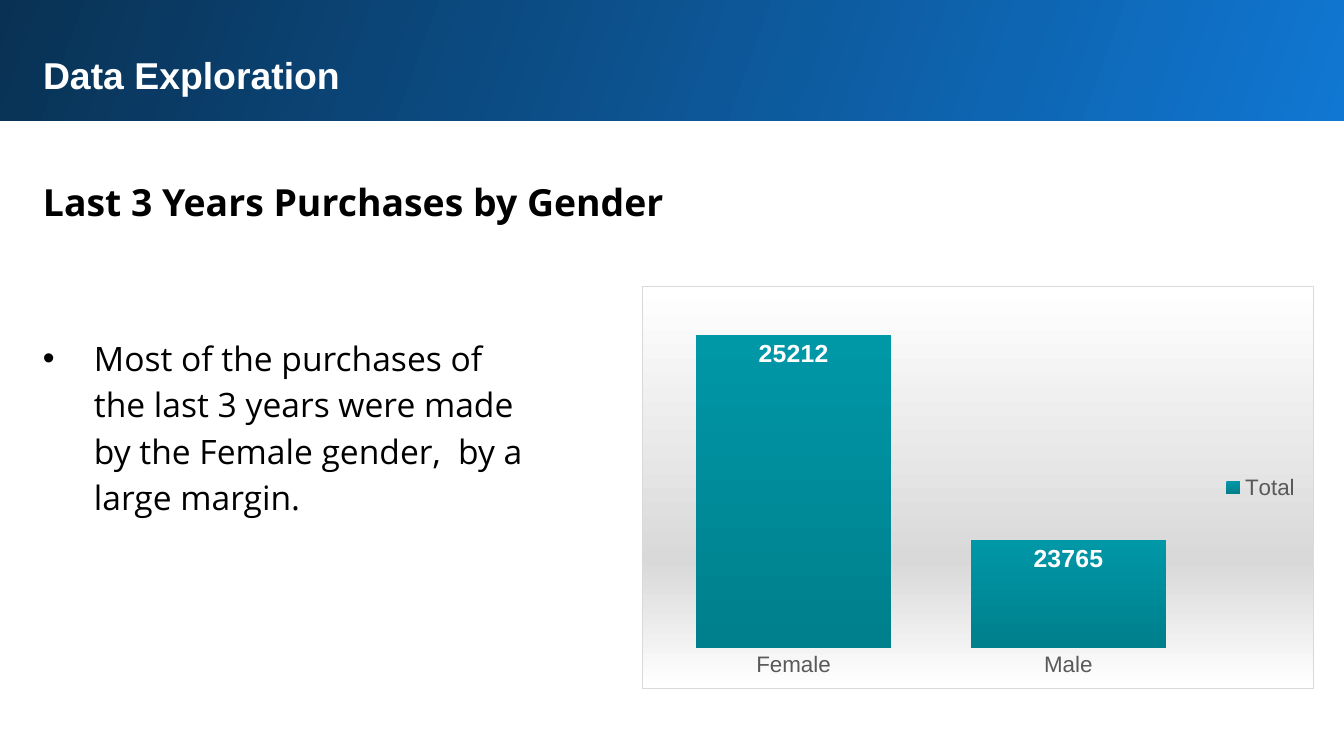
from lxml.etree import SubElement
from pptx import Presentation
from pptx.chart.data import CategoryChartData
from pptx.dml.color import RGBColor
from pptx.enum.chart import (XL_CHART_TYPE as ChartType, XL_LABEL_POSITION as LabelPosition,
                             XL_LEGEND_POSITION as LegendPosition, XL_TICK_MARK as TickMark)
from pptx.enum.shapes import MSO_SHAPE as ShapeKind
from pptx.enum.text import MSO_ANCHOR as Anchor, PP_ALIGN as Align
from pptx.oxml import parse_xml
from pptx.oxml.ns import nsdecls, qn
from pptx.util import Pt

SCALE = 914400 / 134.4
INSET = 13
TEXT_GREY = "595959"


def px(length):
    return round(length * SCALE)


def color(value):
    return RGBColor.from_string(value)


def set_values(target, values):
    for name, value in values.items():
        setattr(target, name, value)


def style_font(font, size, value, name="Arial", bold=False):
    set_values(font, {"size": Pt(size), "name": name, "bold": bold})
    font.color.rgb = color(value)


def gradient(properties, stops, angle):
    """Put a linear gradient in place of the empty fill."""
    items = "".join(f'<a:gs pos="{position * 1000}"><a:srgbClr val="{value}"/></a:gs>'
                    for position, value in stops)
    fill = parse_xml(f'<a:gradFill {nsdecls("a")} rotWithShape="1"><a:gsLst>{items}</a:gsLst>'
                     f'<a:lin ang="{angle * 60000}" scaled="0"/></a:gradFill>')
    properties.replace(properties.find(qn("a:noFill")), fill)


def write_text(shape, box, text, size, value, name, bold=False, spacing=1.0):
    set_values(shape, dict(zip(("left", "top", "width", "height"), map(px, box))))
    frame = shape.text_frame
    margins = {f"margin_{side}": px(INSET) for side in ("left", "top", "right", "bottom")}
    set_values(frame, {"word_wrap": True, "vertical_anchor": Anchor.TOP, **margins})
    paragraph = frame.paragraphs[0]
    set_values(paragraph, {"alignment": Align.LEFT, "line_spacing": spacing})
    run = paragraph.add_run()
    run.text = text
    style_font(run.font, size, value, name, bold)
    return paragraph


def add_header(slide, box):
    left, top, width, height = box
    # Band behind the title
    band = slide.shapes.add_shape(ShapeKind.RECTANGLE, *map(px, box))
    band.shadow.inherit = False
    band.line.fill.background()
    band.fill.background()
    gradient(band.element.spPr, [(0, "1077D2"), (100, "093153")], 200)
    title = slide.shapes.title
    title.element.addprevious(band.element)
    write_text(title, (left + 33, top + 42, 1259, 69), "Data Exploration",
               20, "FFFFFF", "Arial", True)


def add_findings(slide, box):
    left, top, width, height = box
    # Heading
    heading = slide.shapes.add_textbox(0, 0, 0, 0)
    write_text(heading, (left, top, width, 75), "Last 3 Years Purchases by Gender",
               20, "000000", "Open Sans", True, 1.15)
    # Bullet
    note = slide.shapes.add_textbox(0, 0, 0, 0)
    paragraph = write_text(
        note, (left, top + 160, 516, height - 160),
        "Most of the purchases of the last 3 years were made by the Female gender,  "
        "by a large margin.", 18, "000000", "Open Sans", spacing=1.15)
    paragraph.space_after = Pt(12)
    properties = paragraph._p.get_or_add_pPr()
    properties.set("marL", str(px(51)))
    properties.set("indent", str(-px(51)))
    SubElement(properties, qn("a:buFont")).set("typeface", "Arial")
    SubElement(properties, qn("a:buChar")).set("char", "•")


def add_purchase_chart(slide, box):
    data = CategoryChartData()
    data.categories = ["Female", "Male"]
    data.add_series("Total", [25212, 23765])
    chart = slide.shapes.add_chart(ChartType.COLUMN_CLUSTERED, *map(px, box), data).chart
    set_values(chart, {"has_title": False, "has_legend": True})
    style_font(chart.font, 10, "000000")

    # Chart area
    area = parse_xml(f'<c:spPr {nsdecls("c", "a")}><a:noFill/><a:ln w="9525"><a:solidFill>'
                     '<a:srgbClr val="D9D9D9"/></a:solidFill></a:ln></c:spPr>')
    gradient(area, [(0, "FFFFFF"), (68, "D9D9D9"), (100, "FFFFFF")], 90)
    chart_part = chart.element.find(qn("c:chart"))
    chart_part.addnext(area)

    # Plot position
    plot_area = chart_part.find(qn("c:plotArea"))
    for layout in plot_area.findall(qn("c:layout")):
        plot_area.remove(layout)
    edges = {"x": 0.02, "y": 0.02, "w": 0.82, "h": 0.88}
    modes = '<c:xMode val="edge"/><c:yMode val="edge"/>'
    values = "".join(f'<c:{name} val="{value}"/>' for name, value in edges.items())
    plot_area.insert(0, parse_xml(
        f'<c:layout {nsdecls("c")}><c:manualLayout><c:layoutTarget val="inner"/>'
        f'{modes}{values}</c:manualLayout></c:layout>'))

    # Axes and legend
    set_values(chart.value_axis, {"minimum_scale": 23000, "maximum_scale": 25500,
                                  "has_major_gridlines": False, "visible": False})
    axis = chart.category_axis
    set_values(axis, {"major_tick_mark": TickMark.NONE, "minor_tick_mark": TickMark.NONE})
    axis.format.line.fill.background()
    style_font(axis.tick_labels.font, 12, TEXT_GREY)
    set_values(chart.legend, {"position": LegendPosition.RIGHT, "include_in_layout": False})
    style_font(chart.legend.font, 12, TEXT_GREY)

    # Columns and labels
    plot = chart.plots[0]
    set_values(plot, {"gap_width": 41, "vary_by_categories": False})
    series = plot.series[0]
    series.format.fill.background()
    gradient(series.format.fill._xPr, [(0, "0097A7"), (100, "007F8C")], 90)
    labels = series.data_labels
    set_values(labels, {"show_value": True, "position": LabelPosition.INSIDE_END})
    style_font(labels.font, 13.3, "FFFFFF", bold=True)


presentation = Presentation()
set_values(presentation, {"slide_width": px(1344), "slide_height": px(756)})
slide = presentation.slides.add_slide(presentation.slide_layouts[5])
add_header(slide, (-3, -3, 1351, 124))
add_findings(slide, (30, 159, 1259, 371))
add_purchase_chart(slide, (642, 286, 672, 403))
presentation.save("out.pptx")
